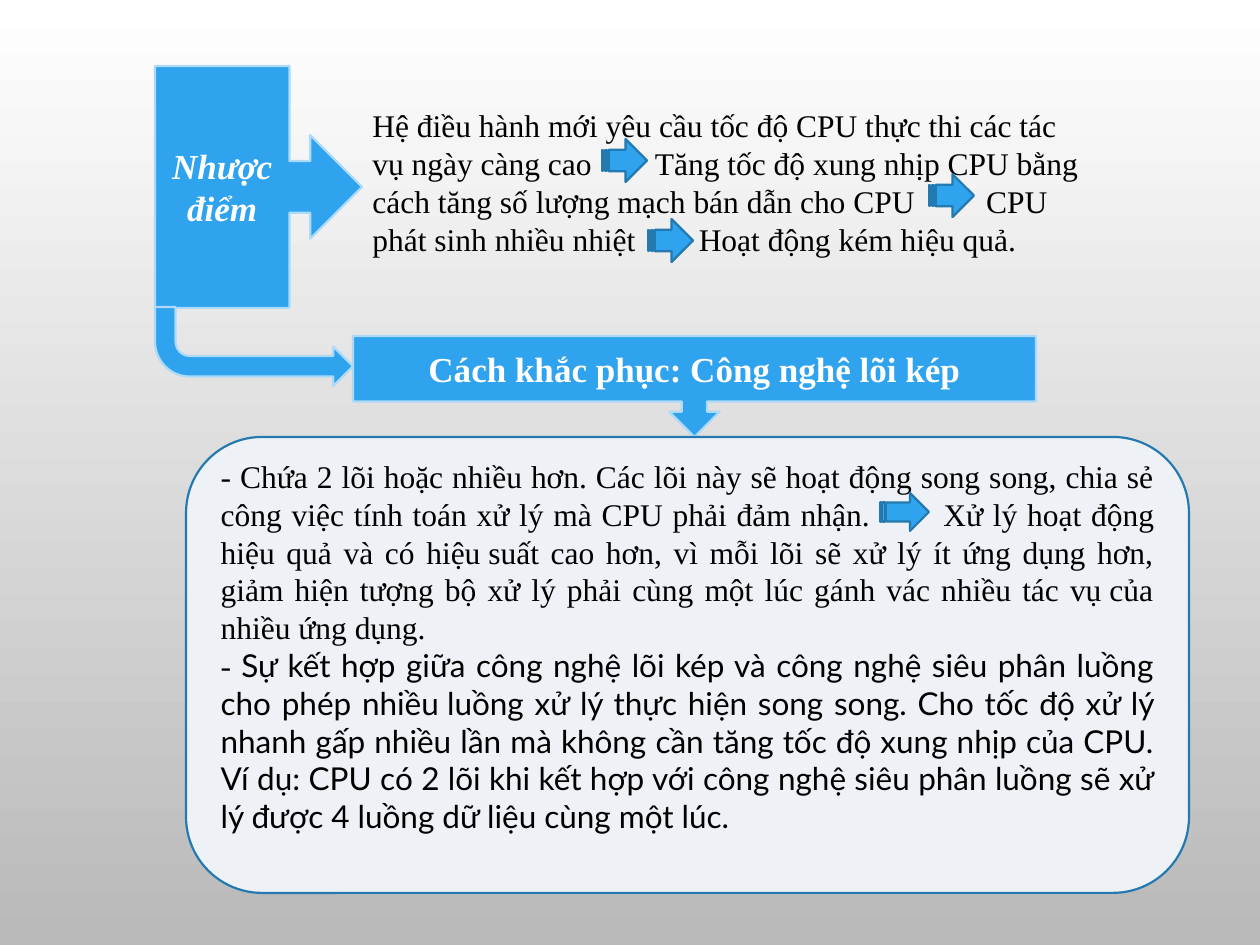
"""Build the slide on CPU drawbacks and the dual-core remedy."""
from dataclasses import dataclass, field
from typing import Any

from pptx import Presentation
from pptx import util as u
from pptx.dml.color import RGBColor
from pptx.enum import shapes, text

EMU_PER_PIXEL = 914400 / 126
SHAPE = shapes.MSO_SHAPE
ALIGN = text.PP_ALIGN


@dataclass(frozen=True)
class Theme:
    """Colours, fonts and point sizes of the slide."""
    blue: str = "2FA3EE"
    pale_blue: str = "ACDAF8"
    dark_blue: str = "2379B0"
    panel: str = "EEF2F7"
    white: str = "FFFFFF"
    black: str = "000000"
    grey: str = "B9B9B9"
    serif: str = "Times New Roman"
    sans: str = "Lato"
    heading: int = 20
    body: int = 18
    outline: float = 1.25


THEME = Theme()
HEADING = {"name": THEME.serif, "size": u.Pt(THEME.heading), "bold": True}
BODY = {"name": THEME.serif, "size": u.Pt(THEME.body)}
SANS_BODY = BODY | {"name": THEME.sans}


@dataclass(frozen=True)
class Run:
    """A piece of text with its font values and letter spacing in points."""
    words: str
    font: dict[str, Any] = field(default_factory=lambda: BODY)
    spacing: float = 0


@dataclass(frozen=True)
class Block:
    """A preset shape, or a plain text box when preset is None."""
    box: tuple[int, int, int, int]
    preset: Any = None
    fill: str = THEME.blue
    line: str = THEME.pale_blue
    paragraphs: tuple[tuple[Run, ...], ...] = ()
    align: Any = ALIGN.CENTER
    ink: str = THEME.white
    frame: dict[str, Any] = field(default_factory=dict)
    adjustments: tuple[float, ...] = ()
    flipped: bool = False


def gap(spacing: float) -> Run:
    """Return one wide space that leaves room for an inline arrow."""
    return Run(" ", spacing=spacing)


def inline_arrow(left: int, top: int, width: int = 45, height: int = 43) -> Block:
    """Return a small striped arrow that sits within a text line."""
    return Block((left, top, width, height), SHAPE.STRIPED_RIGHT_ARROW, line=THEME.dark_blue)


def apply(target: Any, values: dict[str, Any]) -> None:
    """Set every value of the dict as an attribute of the target."""
    for name, value in values.items():
        setattr(target, name, value)


def write(shape: Any, block: Block) -> None:
    """Fill the text frame of a shape with the paragraphs of its block."""
    frame = shape.text_frame
    apply(frame, {"word_wrap": True} | block.frame)
    for index, runs in enumerate(block.paragraphs):
        paragraph = frame.add_paragraph() if index else frame.paragraphs[0]
        paragraph.alignment = block.align
        for piece in runs:
            run = paragraph.add_run()
            run.text = piece.words
            apply(run.font, piece.font)
            run.font.color.rgb = RGBColor.from_string(block.ink)
            if piece.spacing:
                run._r.get_or_add_rPr().set("spc", str(round(piece.spacing * 100)))


def draw(slide: Any, block: Block) -> None:
    """Draw one block on the slide."""
    box = [u.Emu(round(length * EMU_PER_PIXEL)) for length in block.box]
    if block.preset is None:
        shape = slide.shapes.add_textbox(*box)
    else:
        shape = slide.shapes.add_shape(block.preset, *box)
        shape.shadow.inherit = False
        shape.fill.solid()
        shape.fill.fore_color.rgb = RGBColor.from_string(block.fill)
        shape.line.color.rgb = RGBColor.from_string(block.line)
        shape.line.width = u.Pt(THEME.outline)
        for index, value in enumerate(block.adjustments):
            shape.adjustments[index] = value
        if block.flipped:
            shape._element.spPr.xfrm.set("flipV", "1")
    if block.paragraphs:
        write(shape, block)


def paint_background(slide: Any) -> None:
    """Give the slide a vertical gradient from white to grey."""
    fill = slide.background.fill
    fill.gradient()
    fill.gradient_angle = 270
    for stop, position, colour in zip(fill.gradient_stops, (0, 1), (THEME.white, THEME.grey)):
        stop.position = position
        stop.color.rgb = RGBColor.from_string(colour)


MIDDLE = {"vertical_anchor": text.MSO_ANCHOR.MIDDLE}
PROBLEM = (
    Run("Hệ điều hành mới yêu cầu tốc độ CPU thực thi\u00a0các tác vụ\u00a0ngày càng cao"),
    gap(31.5),
    Run("Tăng tốc độ xung nhịp CPU bằng cách\u00a0tăng số lượng mạch bán dẫn cho CPU"),
    gap(36),
    Run("CPU phát sinh nhiều nhiệt"),
    gap(31.5),
    Run("Hoạt động kém hiệu quả."),
)
CORES = (
    Run("- Chứa 2 lõi hoặc nhiều hơn. Các lõi này sẽ hoạt động song song, chia sẻ công việc "
        "tính toán xử lý mà CPU phải đảm nhận."),
    gap(36),
    Run("Xử lý hoạt động hiệu quả và có hiệu\u00a0suất cao hơn, vì mỗi lõi sẽ xử lý ít ứng dụng "
        "hơn, giảm hiện tượng bộ xử lý phải cùng một lúc gánh vác nhiều tác vụ\u00a0của nhiều "
        "ứng dụng."),
)
THREADS = (
    Run("- "),
    Run("Sự kết hợp giữa công nghệ lõi kép và công nghệ siêu phân luồng cho phép nhiều\u00a0luồng "
        "xử lý thực hiện song song. Cho tốc độ xử lý nhanh gấp nhiều lần mà không cần tăng tốc "
        "độ xung nhịp của CPU. Ví dụ: CPU có 2 lõi khi kết hợp với công nghệ siêu phân luồng sẽ "
        "xử lý được 4 luồng dữ liệu cùng một lúc.", SANS_BODY),
)
BLOCKS = (
    Block((155, 66, 207, 242), SHAPE.RIGHT_ARROW_CALLOUT, frame=MIDDLE,
          paragraphs=((Run("Nhược điểm", HEADING | {"italic": True}),),)),
    Block((360, 100, 738, 165), paragraphs=(PROBLEM,), align=ALIGN.LEFT, ink=THEME.black),
    inline_arrow(929, 174),
    inline_arrow(648, 219),
    inline_arrow(602, 139),
    Block((155, 307, 198, 79), SHAPE.BENT_ARROW, flipped=True,
          adjustments=(0.26, 0.25, 0.25, 0.44)),
    Block((353, 336, 683, 101), SHAPE.DOWN_ARROW_CALLOUT, frame=MIDDLE,
          paragraphs=((Run("Cách khắc phục: Công nghệ lõi kép", HEADING),),)),
    Block((186, 437, 1003, 456), SHAPE.ROUNDED_RECTANGLE, THEME.panel, THEME.dark_blue,
          (CORES, THREADS), ALIGN.JUSTIFY, THEME.black,
          MIDDLE | {"margin_bottom": u.Emu(round(44 * EMU_PER_PIXEL))}),
    inline_arrow(880, 493, 49, 38),
)


def main() -> None:
    """Create the presentation and save it."""
    presentation = Presentation()
    apply(presentation, {"slide_width": u.Inches(10), "slide_height": u.Inches(7.5)})
    slide = presentation.slides.add_slide(presentation.slide_layouts[6])
    paint_background(slide)
    for block in BLOCKS:
        draw(slide, block)
    presentation.save("out.pptx")


main()
